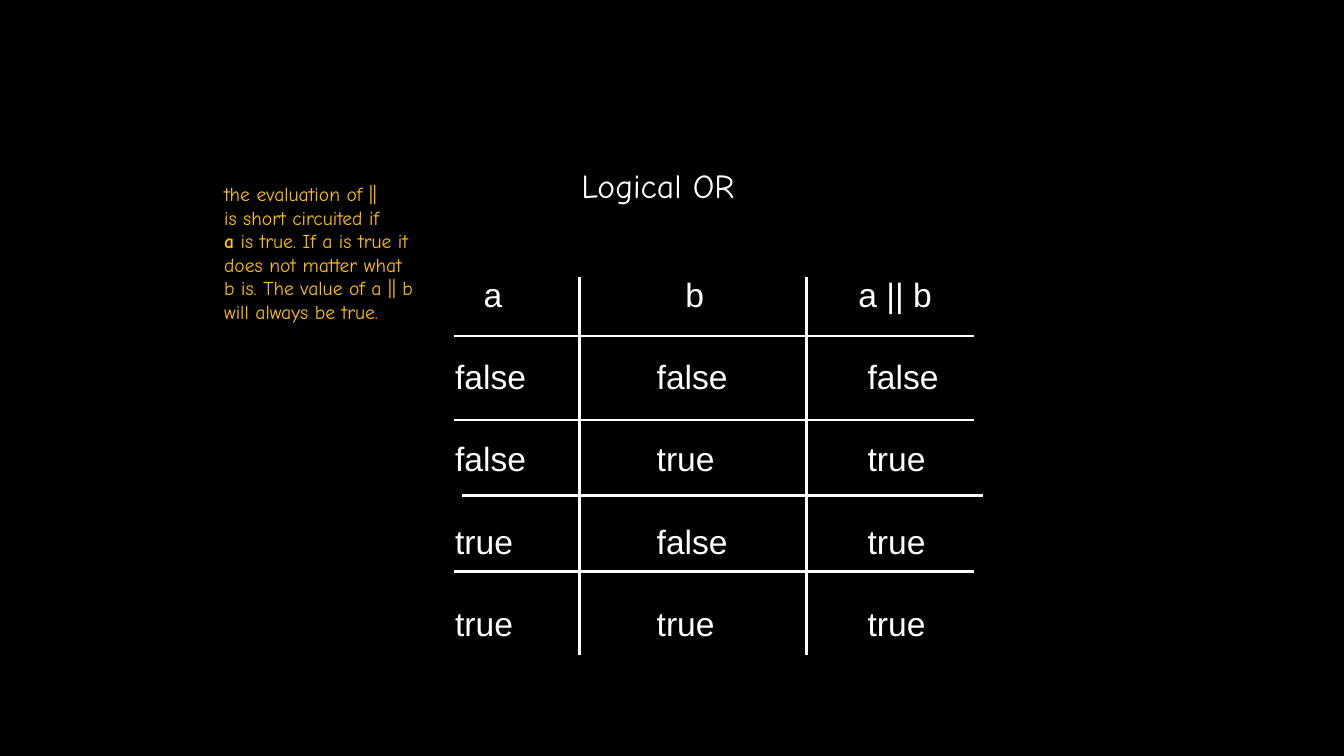
from dataclasses import dataclass

from lxml.etree import SubElement
from pptx import Presentation
from pptx.dml.color import RGBColor
from pptx.enum.shapes import MSO_CONNECTOR
from pptx.enum.text import MSO_ANCHOR, MSO_AUTO_SIZE, PP_ALIGN
from pptx.oxml.ns import qn
from pptx.util import Emu, Inches, Pt

COLUMNS, ROWS = 160, 90
WHITE, GOLD, BLACK = "FFFFFF", "FFC000", "000000"
HANDWRITING, PLAIN = "Comic Neue", "Arial"

deck = Presentation()
deck.slide_width, deck.slide_height = Inches(13.333), Inches(7.5)


@dataclass(frozen=True)
class Rule:
    start: tuple[int, int]
    end: tuple[int, int]


@dataclass(frozen=True)
class TableRow:
    text: str
    tabs: tuple[float, ...]


def across(column: float) -> Emu:
    return Emu(round(deck.slide_width * column / COLUMNS))


def down(row: float) -> Emu:
    return Emu(round(deck.slide_height * row / ROWS))


def colour(value: str) -> RGBColor:
    return RGBColor.from_string(value)


def place(box, left: float, top: float, width: float, height: float) -> None:
    box.left, box.top = across(left), down(top)
    box.width, box.height = across(width), down(height)


def prepare_frame(box, wrap: bool = False):
    frame = box.text_frame
    frame.word_wrap = wrap
    frame.auto_size = MSO_AUTO_SIZE.NONE
    frame.vertical_anchor = MSO_ANCHOR.TOP
    return frame


def add_text_box(page, left: float, top: float, width: float, height: float):
    box = page.shapes.add_textbox(0, 0, 0, 0)
    place(box, left, top, width, height)
    return prepare_frame(box)


def paragraph_at(frame, index: int):
    """Return the frame's first paragraph for index 0, otherwise a new one."""
    return frame.add_paragraph() if index else frame.paragraphs[0]


def write(para, text: str, *, size: float, font: str, ink: str,
          bold: bool = False) -> None:
    span = para.add_run()
    span.text = text
    span.font.size, span.font.name, span.font.bold = Pt(size), font, bold
    span.font.color.rgb = colour(ink)


def set_tabs(para, columns: tuple[float, ...]) -> None:
    """Set left tab stops, measured in grid columns from the text's edge."""
    stops = SubElement(para._p.get_or_add_pPr(), qn("a:tabLst"))
    for column in columns:
        SubElement(stops, qn("a:tab"), pos=str(across(column)), algn="l")


def draw_rule(page, rule: Rule) -> None:
    (left, top), (right, bottom) = rule.start, rule.end
    line = page.shapes.add_connector(MSO_CONNECTOR.STRAIGHT, across(left),
                                     down(top), across(right), down(bottom))
    line.line.color.rgb = colour(WHITE)
    line.line.width = Pt(2)
    SubElement(line._element.spPr, qn("a:effectLst"))


def add_title(page) -> None:
    title = page.shapes.title
    place(title, 68, 19, 22.3, 6.1)
    para = prepare_frame(title).paragraphs[0]
    para.alignment = PP_ALIGN.LEFT
    write(para, "Logical OR", size=24, font=HANDWRITING, ink=WHITE)


def add_truth_table(page) -> None:
    header = TableRow("\ta\tb\ta || b", (3.4, 27.4, 48))
    cases = [(a, b, a or b) for a in (False, True) for b in (False, True)]
    body = [TableRow("\t".join(str(value).lower() for value in case), (24, 49.1))
            for case in cases]
    frame = add_text_box(page, 53, 32, 60.6, 44.9)
    for index, row in enumerate([header, *body]):
        para = paragraph_at(frame, index)
        if index:
            para.space_before = Pt(30)
        set_tabs(para, row.tabs)
        write(para, row.text, size=24, font=PLAIN, ink=WHITE)

    horizontal = [Rule((left, row), (left + 62, row))
                  for left, row in ((54, 40), (54, 50), (55, 59), (54, 68))]
    vertical = [Rule((column, 33), (column, 78)) for column in (69, 96)]
    for rule in horizontal + vertical:
        draw_rule(page, rule)


def add_note(page) -> None:
    lines = [
        ("", "the evaluation of ||"),
        ("", "is short circuited if"),
        ("a", " is true. If a is true it"),
        ("", "does not matter what"),
        ("", "b is. The value of a || b"),
        ("", "will always be true."),
    ]
    frame = add_text_box(page, 25.5, 21.1, 27.8, 18.1)
    for index, (strong, normal) in enumerate(lines):
        para = paragraph_at(frame, index)
        if strong:
            write(para, strong, size=14, font=HANDWRITING, ink=GOLD, bold=True)
        write(para, normal, size=14, font=HANDWRITING, ink=GOLD)


def main() -> None:
    page = deck.slides.add_slide(deck.slide_layouts.get_by_name("Title Only"))
    page.background.fill.solid()
    page.background.fill.fore_color.rgb = colour(BLACK)
    add_title(page)
    add_truth_table(page)
    add_note(page)
    deck.save("out.pptx")


if __name__ == "__main__":
    main()
